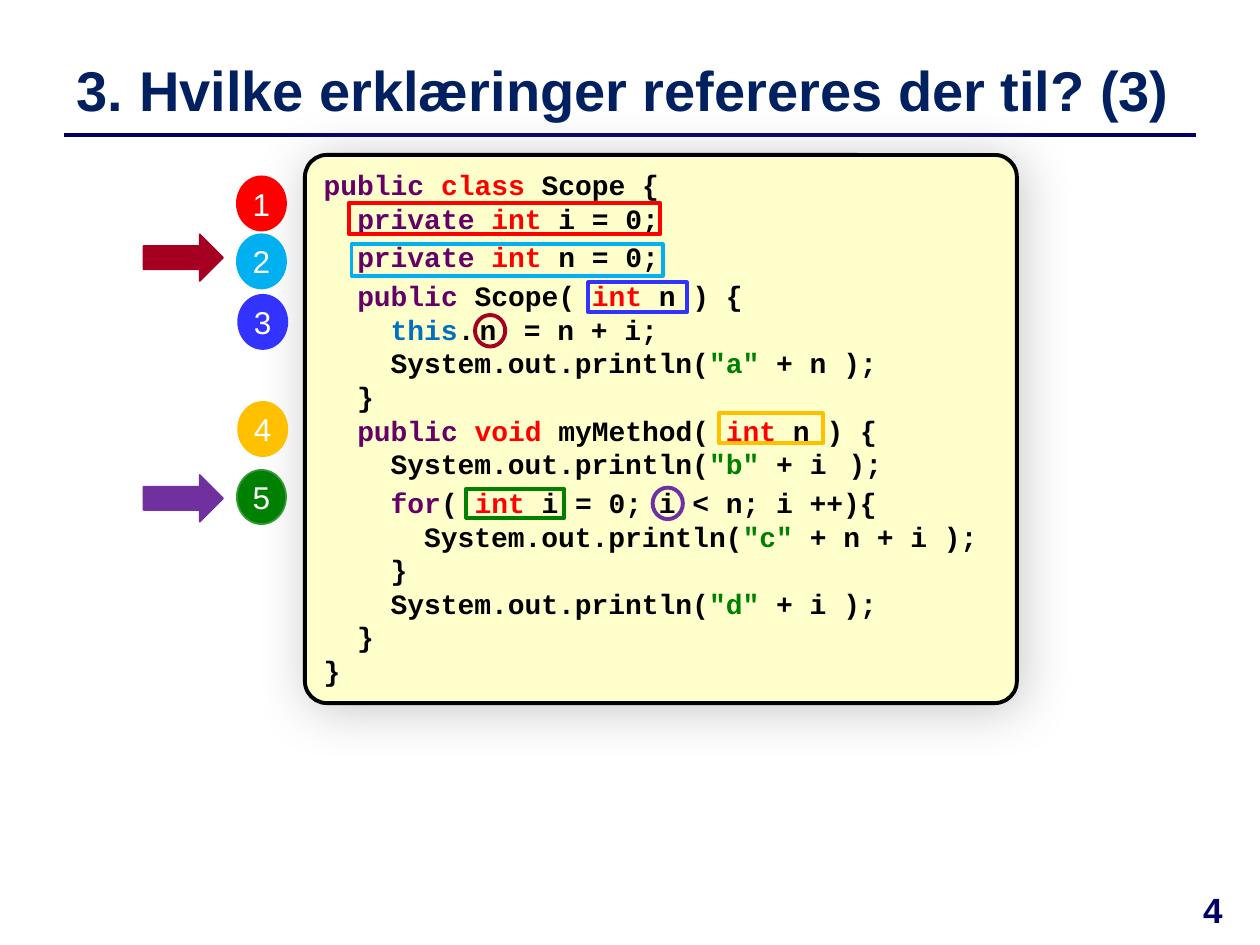
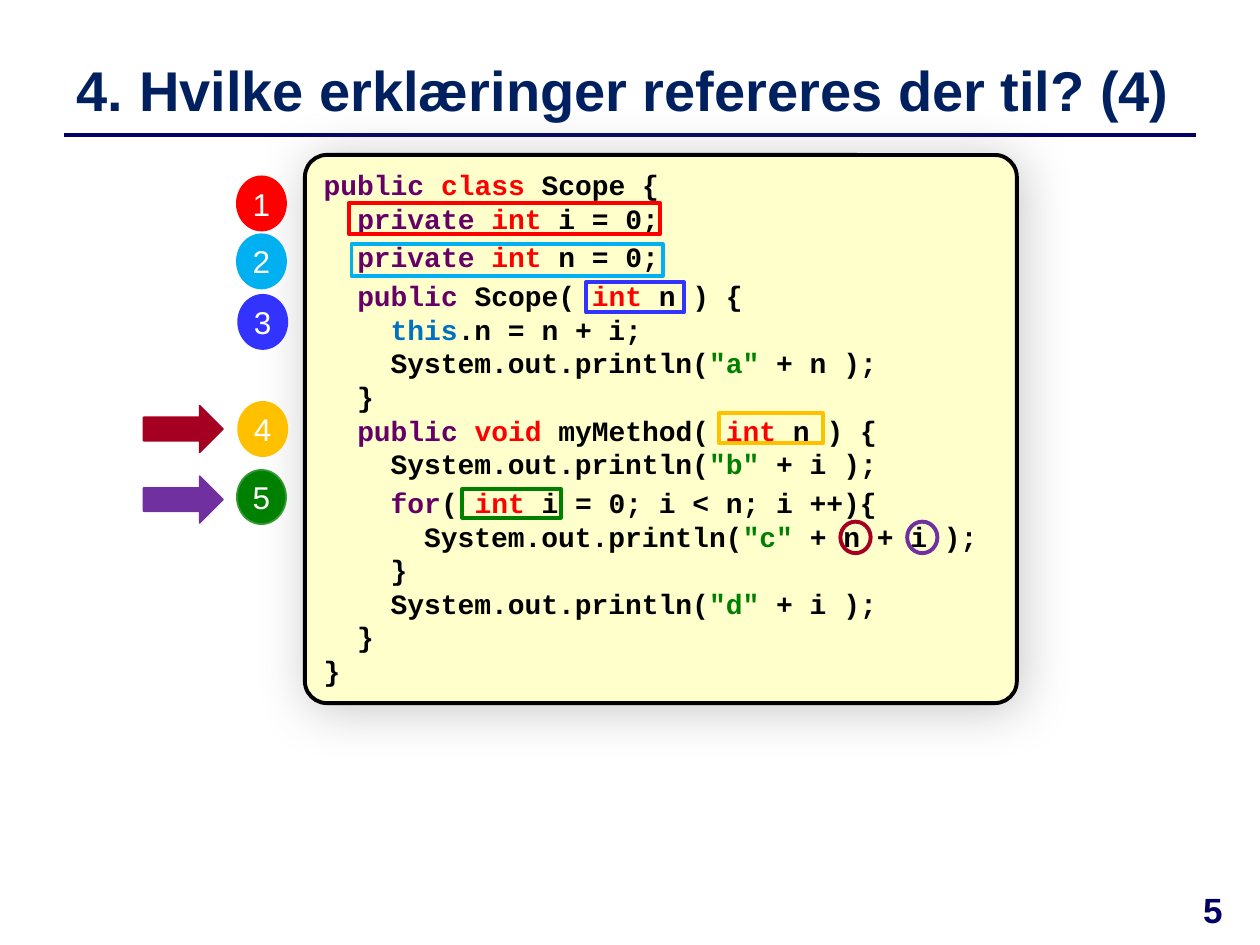
from dataclasses import dataclass
from itertools import groupby

from lxml import etree
from pptx import Presentation
from pptx.dml.color import RGBColor
from pptx.enum import shapes, text
from pptx.oxml import ns
from pptx.util import Inches, Pt


@dataclass(frozen=True)
class Theme:
    sans: str = "Arial"
    mono: str = "Courier New"
    title: str = "002060"
    accent: str = "000066"
    panel: str = "FFFFCC"
    ink: str = "000000"
    white: str = "FFFFFF"
    shadow: str = "808080"
    modifier: str = "660066"
    type_word: str = "FF0000"
    self_word: str = "0070C0"
    literal: str = "008000"
    first_use: str = "A50021"
    second_use: str = "7030A0"
    title_size: float = 32
    code_size: float = 16
    code_pitch: float = 19.2
    badge_size: float = 18
    page_size: float = 20
    outline: float = 2.25


THEME = Theme()
SHAPE = shapes.MSO_SHAPE

TITLE_BOX = (0.51, 0.37, 8.98, 0.67)
PANEL_BOX = (2.42, 1.23, 5.65, 4.35)
BADGE_BOX = (1.88, 1.4, 0.39, 0.43)
ARROW_BOX = (1.14, 0, 0.63, 0.37)
PAGE_BOX = (9.25, 7, 0.75, 0.5)
RULE_Y = 1.07

CODE = """public class Scope {
  private int i = 0;
  private int n = 0;
  public Scope( int n ) {
    this.n = n + i;
    System.out.println("a" + n );
  }
  public void myMethod( int n ) {
    System.out.println("b" + i );
    for( int i = 0; i < n; i ++){
      System.out.println("c" + n + i );
    }
    System.out.println("d" + i );
  }
}""".split("\n")
LOOSE_LINES = (2, 3, 9)
WORD_COLOURS = {
    **dict.fromkeys(("public", "private", "for"), THEME.modifier),
    **dict.fromkeys(("class", "int", "void"), THEME.type_word),
    "this": THEME.self_word,
}

DECLARATIONS = [
    ("FF0000", "FF0000", (0, 0), (0.35, 0.38, 2.47, 0.25)),
    ("00B0F0", "00B0F0", (0, 0.46), (0.37, 0.71, 2.47, 0.25)),
    ("3333FF", "3333FF", (0.01, 0.94), (2.25, 1.01, 0.78, 0.24)),
    ("FFC000", "FFC000", (0.01, 1.79), (3.29, 2.05, 0.82, 0.24)),
    ("008000", "339933", (0, 2.33), (1.28, 2.65, 0.78, 0.23)),
]

QUESTIONS = [
    dict(number=3, spaced={4: ".n ", 8: "i"}, nudges={},
         uses=[(1.86, (1.35, 1.27)), (3.77, (2.76, 2.64))]),
    dict(number=4, spaced={}, nudges={2: -0.02, 4: -0.03},
         uses=[(3.22, (4.25, 2.91)), (3.78, (4.78, 2.91))]),
]


def rgb(colour):
    return RGBColor.from_string(colour)


def style(font, name, size, colour, bold=False):
    font.name, font.size, font.bold = name, Pt(size), bold
    font.color.rgb = rgb(colour)


def add_figure(slide, kind, box, fill, line, weight):
    figure = slide.shapes.add_shape(kind, *map(Inches, box))
    figure.shadow.inherit = False
    if fill:
        figure.fill.solid()
        figure.fill.fore_color.rgb = rgb(fill)
    else:
        figure.fill.background()
    figure.line.color.rgb = rgb(line)
    figure.line.width = Pt(weight)
    return figure


def add_soft_shadow(figure):
    effects = figure._element.spPr.find(ns.qn("a:effectLst"))
    shadow = etree.SubElement(
        effects, ns.qn("a:outerShdw"), blurRad=str(Pt(30)), dist=str(Pt(3)),
        dir=str(45 * 60000), algn="ctr", rotWithShape="0")
    colour = etree.SubElement(shadow, ns.qn("a:srgbClr"), val=THEME.shadow)
    etree.SubElement(colour, ns.qn("a:alpha"), val="43000")


def add_heading(slide, box, heading):
    title = slide.shapes.title
    title.left, title.top, title.width, title.height = map(Inches, box)
    frame = title.text_frame
    frame.text = heading
    frame.vertical_anchor = text.MSO_ANCHOR.MIDDLE
    frame.paragraphs[0].alignment = text.PP_ALIGN.LEFT
    style(frame.paragraphs[0].runs[0].font, THEME.sans, THEME.title_size,
          THEME.title, True)

    left, _, width, _ = box
    rule = slide.shapes.add_connector(
        shapes.MSO_CONNECTOR.STRAIGHT, Inches(left), Inches(RULE_Y),
        Inches(left + width), Inches(RULE_Y))
    rule.line.color.rgb = rgb(THEME.accent)
    rule.line.width = Pt(2)
    etree.SubElement(rule._element.spPr, ns.qn("a:effectLst"))


def code_styles(line, spaced):
    colours = []
    for _, letters in groupby(line, lambda c: c.isalnum() or c == '"'):
        word = "".join(letters)
        plain = THEME.literal if word.startswith('"') else THEME.ink
        colours += [WORD_COLOURS.get(word, plain)] * len(word)
    start = line.rfind(spaced) if spaced else len(line)
    end = start + len(spaced)
    return [(colour, start <= i < end) for i, colour in enumerate(colours)]


def add_code_panel(slide, box, spaced):
    panel = add_figure(slide, SHAPE.ROUNDED_RECTANGLE, box, THEME.panel,
                       THEME.ink, THEME.outline)
    panel.adjustments[0] = 0.04
    add_soft_shadow(panel)
    frame = panel.text_frame
    frame.word_wrap = True
    frame.vertical_anchor = text.MSO_ANCHOR.TOP
    for row, line in enumerate(CODE):
        paragraph = frame.paragraphs[0] if row == 0 else frame.add_paragraph()
        paragraph.alignment = text.PP_ALIGN.LEFT
        paragraph.line_spacing = Pt(THEME.code_pitch)
        if row in LOOSE_LINES:
            paragraph.space_before = Pt(3)
        styled = zip(code_styles(line, spaced.get(row, "")), line)
        for (colour, wide), pairs in groupby(styled, lambda pair: pair[0]):
            run = paragraph.add_run()
            run.text = "".join(letter for _, letter in pairs)
            style(run.font, THEME.mono, THEME.code_size, colour, True)
            if wide:
                run.font._element.set("spc", "300")


def add_declaration_boxes(slide, panel_box, nudges):
    left, top = panel_box[:2]
    for index, (colour, _, _, (x, y, width, height)) in enumerate(DECLARATIONS):
        x += nudges.get(index, 0)
        add_figure(slide, SHAPE.RECTANGLE, (left + x, top + y, width, height),
                   None, colour, THEME.outline)


def add_badges(slide, box):
    left, top, width, height = box
    for number, (fill, edge, (x, y), _) in enumerate(DECLARATIONS, 1):
        badge = add_figure(slide, SHAPE.OVAL, (left + x, top + y, width, height),
                           fill, edge, 1)
        frame = badge.text_frame
        frame.margin_left = frame.margin_right = 0
        frame.margin_top = frame.margin_bottom = 0
        frame.vertical_anchor = text.MSO_ANCHOR.MIDDLE
        frame.text = str(number)
        frame.paragraphs[0].alignment = text.PP_ALIGN.CENTER
        style(frame.paragraphs[0].runs[0].font, THEME.sans, THEME.badge_size,
              THEME.white)


def add_uses(slide, panel_box, arrow_box, uses):
    panel_left, panel_top = panel_box[:2]
    left, top, width, height = arrow_box
    for colour, (arrow_y, (x, y)) in zip((THEME.first_use, THEME.second_use), uses):
        add_figure(slide, SHAPE.RIGHT_ARROW, (left, top + arrow_y, width, height),
                   colour, colour, 1)
        add_figure(slide, SHAPE.OVAL, (panel_left + x, panel_top + y, 0.24, 0.25),
                   None, colour, THEME.outline)


def add_page_number(slide, box, number):
    frame = slide.shapes.add_textbox(*map(Inches, box)).text_frame
    frame.word_wrap = True
    frame.text = str(number)
    frame.paragraphs[0].alignment = text.PP_ALIGN.CENTER
    style(frame.paragraphs[0].runs[0].font, THEME.sans, THEME.page_size,
          THEME.accent, True)


def add_question_slide(deck, number, spaced, nudges, uses):
    slide = deck.slides.add_slide(deck.slide_layouts[5])
    add_heading(slide, TITLE_BOX,
                f"{number}. Hvilke erklæringer refereres der til? ({number})")
    add_code_panel(slide, PANEL_BOX, spaced)
    add_declaration_boxes(slide, PANEL_BOX, nudges)
    add_badges(slide, BADGE_BOX)
    add_uses(slide, PANEL_BOX, ARROW_BOX, uses)
    add_page_number(slide, PAGE_BOX, number + 1)


def main():
    deck = Presentation()
    deck.slide_width, deck.slide_height = Inches(10), Inches(7.5)
    for question in QUESTIONS:
        add_question_slide(deck, **question)
    deck.save("out.pptx")


if __name__ == "__main__":
    main()
